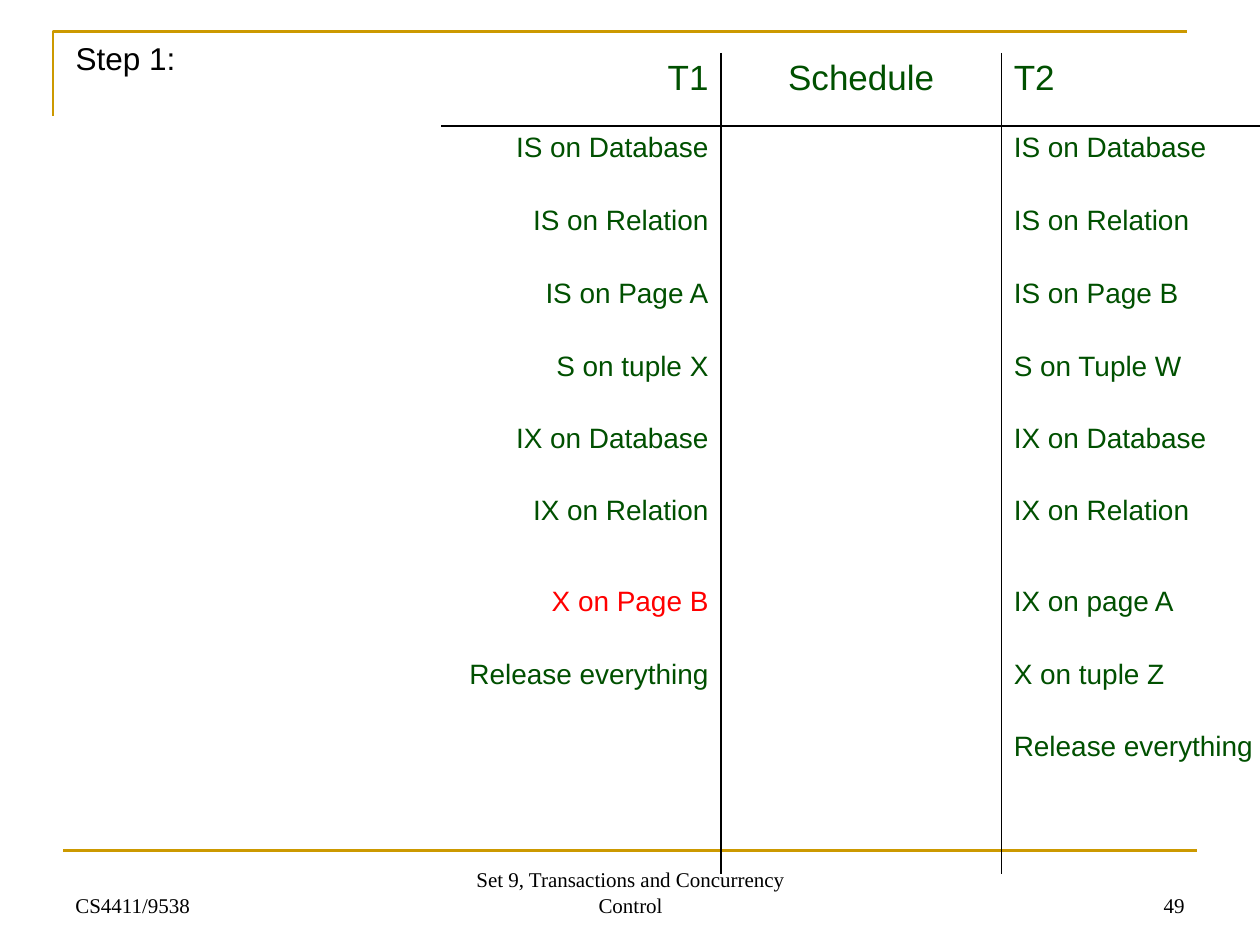
from lxml.etree import SubElement
from pptx import Presentation
from pptx.dml.color import RGBColor
from pptx.enum.shapes import MSO_CONNECTOR
from pptx.enum.text import MSO_ANCHOR, MSO_AUTO_SIZE, PP_ALIGN
from pptx.oxml.ns import qn
from pptx.util import Inches, Pt

COLORS = {"gold": "CC9900", "green": "005000", "red": "FF0000", "black": "000000"}
LEFT, CENTER, RIGHT = PP_ALIGN.LEFT, PP_ALIGN.CENTER, PP_ALIGN.RIGHT

presentation = Presentation()
presentation.slide_width, presentation.slide_height = Inches(10), Inches(7.5)
slide = presentation.slides.add_slide(presentation.slide_layouts[5])
shapes = slide.shapes


def write(frame, text, size=16, font="Arial", color="green", align=LEFT, gap=0):
    """Put each line of text in its own paragraph, gap points apart."""
    for index, line in enumerate(text.split("\n")):
        paragraph = frame.paragraphs[0] if index == 0 else frame.add_paragraph()
        paragraph.alignment = align
        paragraph.space_before = Pt(gap if index else 0)
        run = paragraph.add_run()
        run.text = line
        run.font.size, run.font.name = Pt(size), font
        run.font.color.rgb = RGBColor.from_string(COLORS[color])


def set_borders(cell, drawn):
    """Draw the sides named in drawn (L, R, T, B) and clear the others."""
    properties = cell._tc.get_or_add_tcPr()
    for side in "LRTB":
        line = SubElement(properties, qn(f"a:ln{side}"), w=str(Pt(1)))
        if side in drawn:
            fill = SubElement(line, qn("a:solidFill"))
            SubElement(fill, qn("a:srgbClr"), val=COLORS["black"])
        else:
            SubElement(line, qn("a:noFill"))


# Gold frame: a corner at the top and a rule above the footer
builder = shapes.build_freeform(Inches(0.42), Inches(0.92))
builder.add_line_segments(
    [(Inches(0.42), Inches(0.25)), (Inches(9.42), Inches(0.25))], close=False)
corner = builder.convert_to_shape()
corner.shadow.inherit = False
corner.fill.background()
footer_rule = shapes.add_connector(
    MSO_CONNECTOR.STRAIGHT, Inches(0.5), Inches(6.75), Inches(9.5), Inches(6.75))
SubElement(footer_rule._element.spPr, qn("a:effectLst"))
for shape in (corner, footer_rule):
    shape.line.color.rgb = RGBColor.from_string(COLORS["gold"])
    shape.line.width = Pt(1.5)

# Footer
footer_parts = [
    (0.5, 2.33, "CS4411/9538", LEFT),
    (3.42, 3.17, "Set 9, Transactions and Concurrency Control", CENTER),
    (7.17, 2.33, "49", RIGHT),
]
for left, width, text, align in footer_parts:
    box = shapes.add_textbox(Inches(left), Inches(6.83), Inches(width), Inches(0.5))
    frame = box.text_frame
    frame.word_wrap = True
    frame.vertical_anchor = MSO_ANCHOR.BOTTOM
    write(frame, text, size=12, font="Times New Roman", color="black", align=align)

# Step title
title = shapes.title
title.left, title.top = Inches(0.5), Inches(0.26)
title.width, title.height = Inches(1), Inches(0.4)
title.text_frame.auto_size = MSO_AUTO_SIZE.NONE
title.text_frame.word_wrap = False
title.text_frame.vertical_anchor = MSO_ANCHOR.TOP
write(title.text_frame, "Step 1:", size=18, color="black")

# Lock schedule: T1 requests, shared schedule, T2 requests
ROW = 0.58
schedule = [
    (ROW, "T1", "Schedule", "T2"),
    (ROW, "IS on Database", "", "IS on Database"),
    (ROW, "IS on Relation", "", "IS on Relation"),
    (ROW, "IS on Page A", "", "IS on Page B"),
    (1.86, "S on tuple X\nIX on Database\nIX on Relation", "",
     "S on Tuple W\nIX on Database\nIX on Relation"),
    (ROW, "X on Page B", "", "IX on page A"),
    (0.95, "Release everything", "", "X on tuple Z\nRelease everything"),
    (0.8, "", "", ""),
]
column_sides = ["R", "LR", "L"]
column_aligns = [RIGHT, CENTER, LEFT]
total_height = sum(row[0] for row in schedule)
table = shapes.add_table(len(schedule), 3, Inches(3.5), Inches(0.42),
                         Inches(6.67), Inches(total_height)).table
table.first_row = table.horz_banding = False
for column in table.columns:
    column.width = Inches(6.67 / 3)
for row_index, (height, *texts) in enumerate(schedule):
    table.rows[row_index].height = Inches(height)
    for column_index, text in enumerate(texts):
        cell = table.cell(row_index, column_index)
        header_side = {0: "B", 1: "T"}.get(row_index, "")
        set_borders(cell, column_sides[column_index] + header_side)
        cell.fill.background()
        if text:
            write(cell.text_frame, text, size=20 if row_index == 0 else 16,
                  color="red" if text == "X on Page B" else "green",
                  align=column_aligns[column_index], gap=23.4)

presentation.save("out.pptx")
